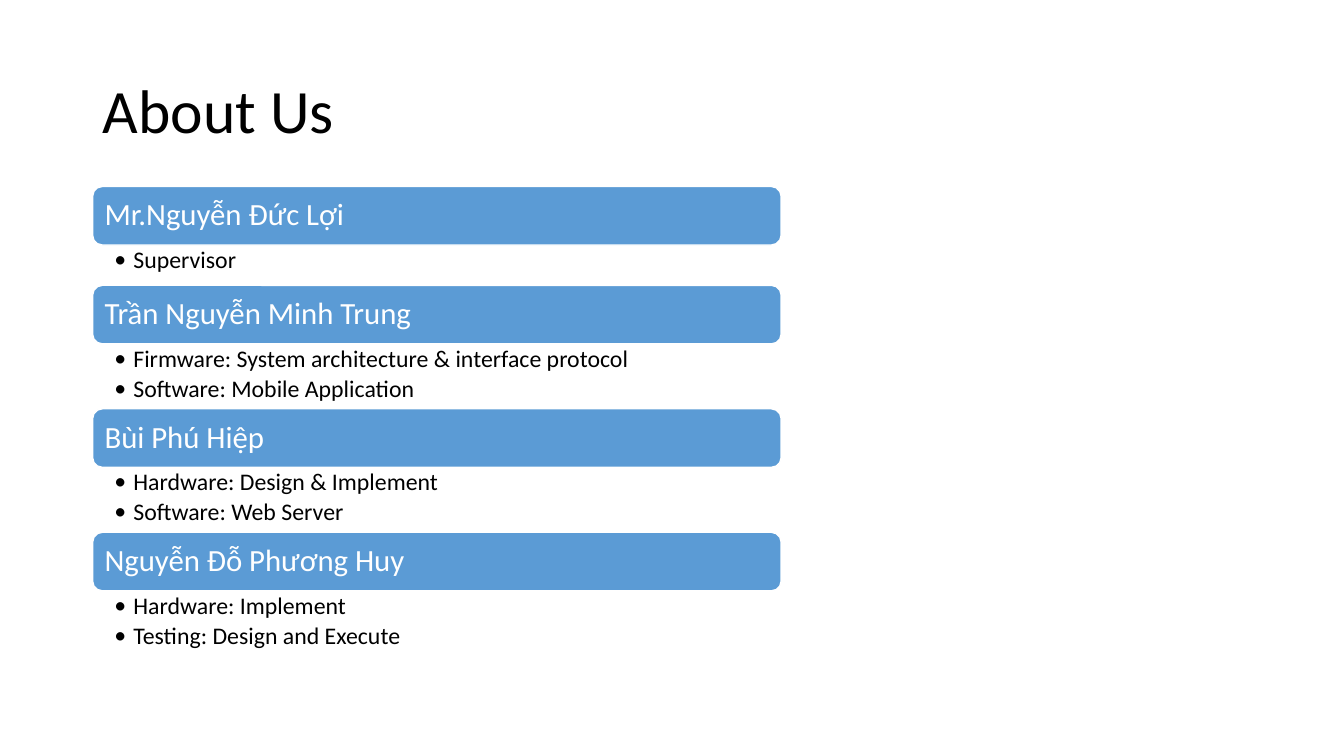
from lxml.etree import SubElement
from pptx import Presentation
from pptx.dml.color import RGBColor
from pptx.enum.shapes import MSO_SHAPE
from pptx.enum.text import MSO_ANCHOR, MSO_AUTO_SIZE, PP_ALIGN
from pptx.oxml.ns import qn
from pptx.util import Pt

BLACK = RGBColor(0x00, 0x00, 0x00)
WHITE = RGBColor(0xFF, 0xFF, 0xFF)
BLUE = RGBColor(0x5B, 0x9B, 0xD5)

LEFT, WIDTH = 66.2, 491.8
BAR_HEIGHT = 41.8
DUTY_HEIGHTS = {1: 28.8, 2: 46.4}  # by number of duties

MEMBERS = [
    ("Mr.Nguyễn Đức Lợi", ["Supervisor"]),
    ("Trần Nguyễn Minh Trung",
     ["Firmware: System architecture & interface protocol",
      "Software: Mobile Application"]),
    ("Bùi Phú Hiệp",
     ["Hardware: Design & Implement", "Software: Web Server"]),
    ("Nguyễn Đỗ Phương Huy",
     ["Hardware: Implement", "Testing: Design and Execute"]),
]


def format_paragraph(p, size, color):
    p.alignment = PP_ALIGN.LEFT
    p.line_spacing = 0.9
    font = p.runs[0].font
    font.name = "Calibri"
    font.size = Pt(size)
    font.color.rgb = color


def set_frame(tf, anchor, left, top, right, bottom):
    tf.word_wrap = True
    tf.auto_size = MSO_AUTO_SIZE.NONE
    tf.vertical_anchor = anchor
    tf.margin_left, tf.margin_top = Pt(left), Pt(top)
    tf.margin_right, tf.margin_bottom = Pt(right), Pt(bottom)


prs = Presentation()
prs.slide_width, prs.slide_height = Pt(960), Pt(540)
s = prs.slides.add_slide(prs.slide_layouts[5])

# Title
title = s.shapes.title
title.left, title.top = Pt(LEFT), Pt(28.8)
title.width, title.height = Pt(828), Pt(104.4)
title.text_frame.text = "About Us"
set_frame(title.text_frame, MSO_ANCHOR.MIDDLE, 7.2, 3.6, 7.2, 3.6)
format_paragraph(title.text_frame.paragraphs[0], 44, BLACK)

# Team members: a name bar with the duties below it
top = 133.2
for name, duties in MEMBERS:
    bar = s.shapes.add_shape(MSO_SHAPE.ROUNDED_RECTANGLE, Pt(LEFT), Pt(top),
                             Pt(WIDTH), Pt(BAR_HEIGHT))
    bar.shadow.inherit = False
    bar.fill.solid()
    bar.fill.fore_color.rgb = BLUE
    bar.line.color.rgb = WHITE
    bar.line.width = Pt(1)
    bar.text_frame.text = name
    # The preset's rounded corners already inset the text by about 2 pt
    set_frame(bar.text_frame, MSO_ANCHOR.MIDDLE, 6.5, 6.5, 6.5, 6.5)
    format_paragraph(bar.text_frame.paragraphs[0], 22, WHITE)
    top += BAR_HEIGHT

    height = DUTY_HEIGHTS[len(duties)]
    box = s.shapes.add_textbox(Pt(LEFT), Pt(top), Pt(WIDTH), Pt(height))
    tf = box.text_frame
    tf.text = "\n".join(duties)
    set_frame(tf, MSO_ANCHOR.TOP, 15.6, 2, 12, 2)
    for p in tf.paragraphs:
        format_paragraph(p, 17, BLACK)
        p.level = 1
        p.space_after = Pt(3.2)
        pPr = p._p.get_or_add_pPr()
        pPr.set("marL", str(Pt(13.5)))
        pPr.set("indent", str(Pt(-13.5)))
        SubElement(pPr, qn("a:buFont")).set("typeface", "Calibri")
        SubElement(pPr, qn("a:buChar")).set("char", "•")
    top += height

prs.save("out.pptx")
